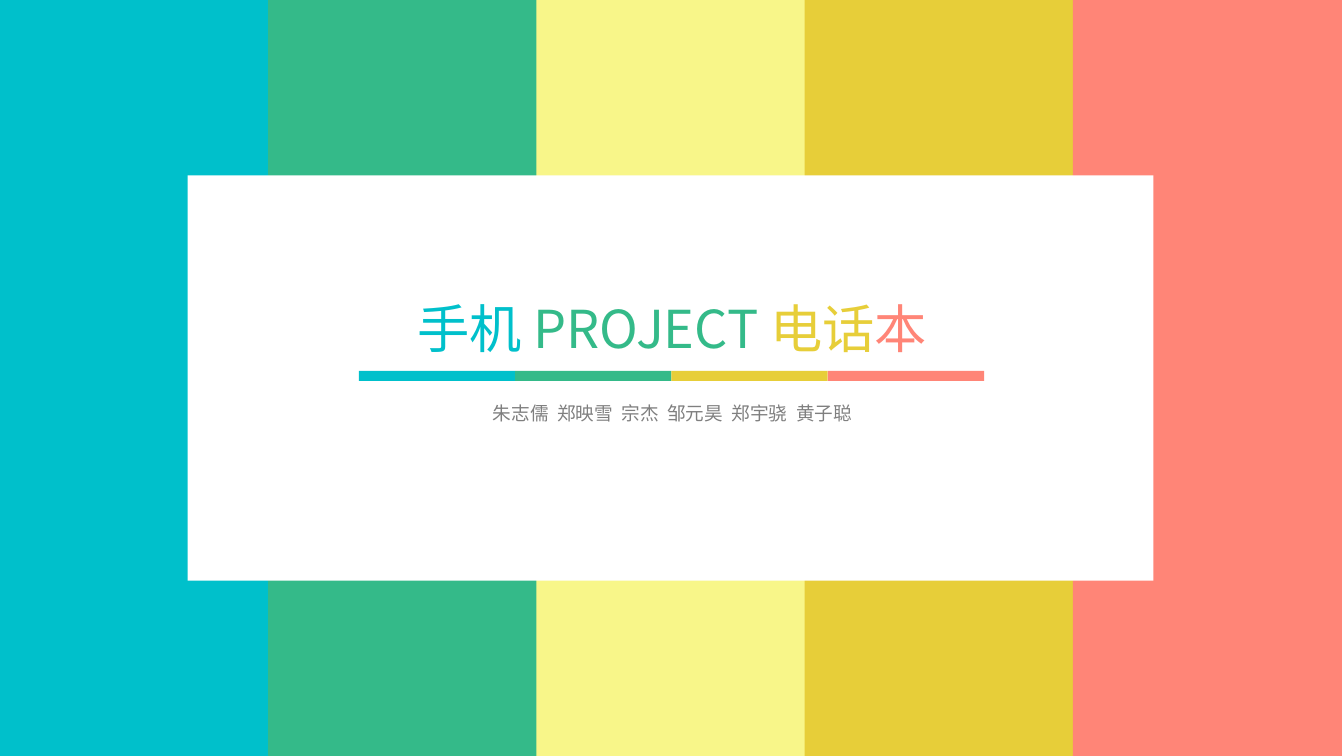
from dataclasses import dataclass

from pptx import Presentation, util as u
from pptx.dml.color import RGBColor
from pptx.enum import shapes, text


@dataclass(frozen=True)
class Theme:
    teal: str = "00C0CB"
    green: str = "34BA89"
    lemon: str = "F8F689"
    gold: str = "E7CE39"
    coral: str = "FF8577"
    white: str = "FFFFFF"
    gray: str = "7F7F7F"
    font: str = "Noto Sans CJK SC"
    title_size: float = 37.3
    names_size: float = 13.3


@dataclass(frozen=True)
class Box:
    left: float
    top: float
    width: float
    height: float


@dataclass(frozen=True)
class Span:
    content: str
    color: str
    spacing: int = 0  # hundredths of a point


THEME = Theme()


def place(box: Box) -> tuple:
    return tuple(u.Inches(value) for value in (box.left, box.top, box.width, box.height))


def add_rectangle(parent, box: Box, color: str) -> None:
    shape = parent.shapes.add_shape(shapes.MSO_SHAPE.RECTANGLE, *place(box))
    shape.shadow.inherit = False
    shape.fill.solid()
    shape.fill.fore_color.rgb = RGBColor.from_string(color)
    shape.line.fill.background()


def add_row(parent, first: Box, step: float, colors: list[str]) -> None:
    for index, color in enumerate(colors):
        left = first.left + index * step
        add_rectangle(parent, Box(left, first.top, first.width, first.height), color)


def add_text(parent, box: Box, spans: list[Span], *, size: float,
             line_spacing: float = 1.0) -> None:
    frame = parent.shapes.add_textbox(*place(box)).text_frame
    frame.word_wrap = True
    frame.auto_size = text.MSO_AUTO_SIZE.SHAPE_TO_FIT_TEXT
    frame.vertical_anchor = text.MSO_ANCHOR.MIDDLE
    frame.margin_left = frame.margin_right = frame.margin_top = frame.margin_bottom = 0
    paragraph = frame.paragraphs[0]
    paragraph.alignment = text.PP_ALIGN.CENTER
    paragraph.line_spacing = line_spacing
    for span in spans:
        run = paragraph.add_run()
        run.text = span.content
        run.font.size = u.Pt(size)
        run.font.name = THEME.font
        run.font.color.rgb = RGBColor.from_string(span.color)
        properties = run._r.get_or_add_rPr()
        # East Asian typeface for the Chinese characters
        east_asian = properties.makeelement(
            "{http://schemas.openxmlformats.org/drawingml/2006/main}ea",
            {"typeface": THEME.font})
        properties.append(east_asian)
        if span.spacing:
            properties.set("spc", str(span.spacing))


def main() -> None:
    presentation = Presentation()
    presentation.slide_width = u.Inches(13.33)
    presentation.slide_height = u.Inches(7.5)
    slide = presentation.slides.add_slide(presentation.slide_layouts[6])

    # Background stripes and white panel
    stripes = [THEME.teal, THEME.green, THEME.lemon, THEME.gold, THEME.coral]
    add_row(slide, Box(0, 0, 2.67, 7.5), 2.66, stripes)
    add_rectangle(slide, Box(1.86, 1.74, 9.58, 4.02), THEME.white)

    # Title block: colour bar, title, names
    title_block = slide.shapes.add_group_shape()
    bar = [THEME.teal, THEME.green, THEME.gold, THEME.coral]
    add_row(title_block, Box(3.56, 3.68, 1.55, 0.1), 1.55, bar)
    title = [Span("手机 ", THEME.teal), Span("PROJECT ", THEME.green),
             Span("电话", THEME.gold), Span("本", THEME.coral)]
    add_text(title_block, Box(2.37, 2.89, 8.59, 0.73), title, size=THEME.title_size)

    members = ["朱志儒", "郑映雪", "宗杰", "邹元昊", "郑宇骁", "黄子聪"]
    names = [Span(members[0], THEME.gray)]
    for member in members[1:]:
        names += [Span(" ", THEME.gray, spacing=300), Span(member, THEME.gray)]
    add_text(title_block, Box(2.96, 3.84, 7.42, 0.41), names,
             size=THEME.names_size, line_spacing=1.5)

    presentation.save("out.pptx")


if __name__ == "__main__":
    main()
